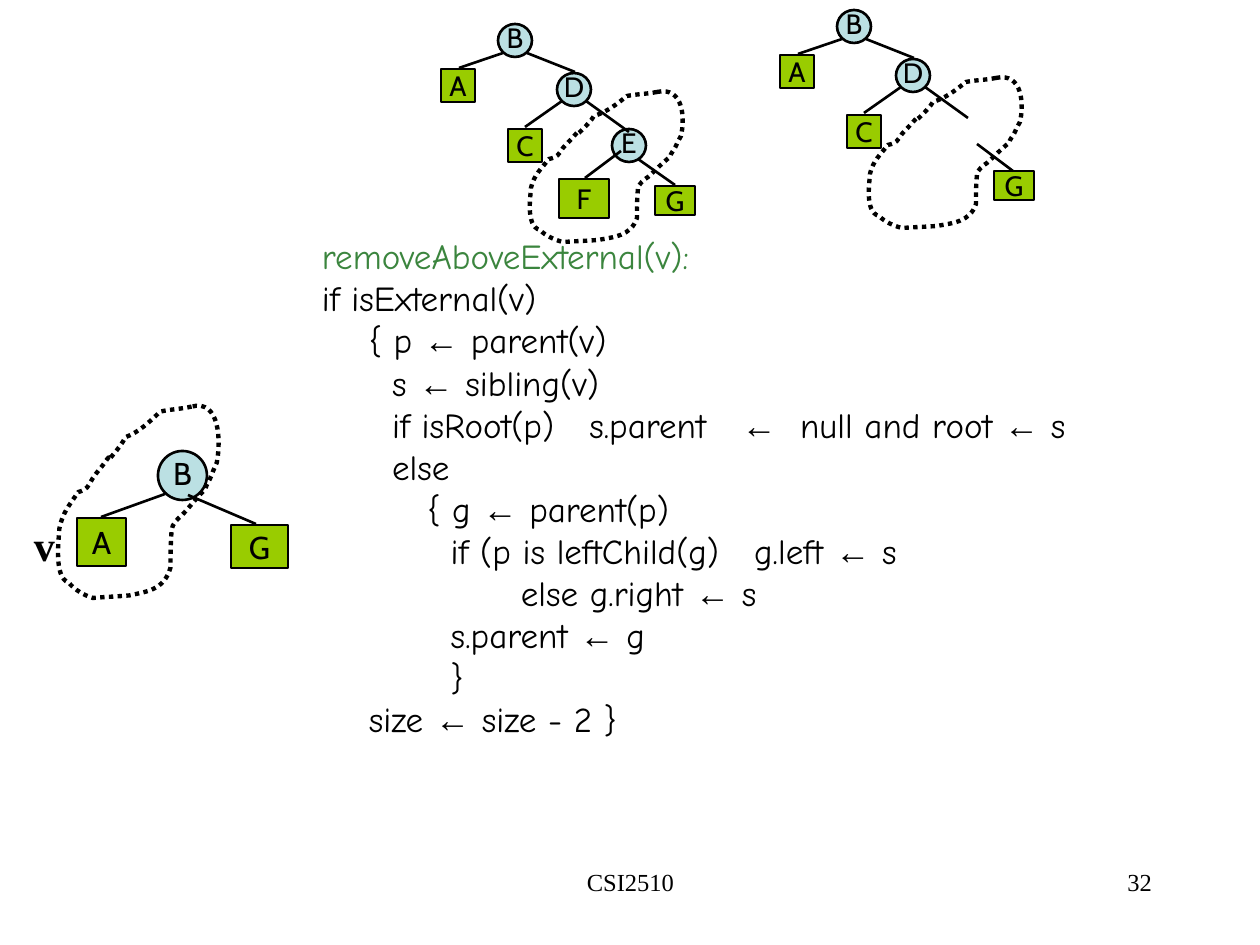
from dataclasses import dataclass

from lxml import etree
from pptx import Presentation
from pptx.dml.color import RGBColor
from pptx.enum.dml import MSO_LINE
from pptx.enum.shapes import MSO_CONNECTOR, MSO_SHAPE
from pptx.enum.text import MSO_ANCHOR, PP_ALIGN
from pptx.oxml.ns import qn
from pptx.util import Pt

LEFT, CENTER, RIGHT = PP_ALIGN.LEFT, PP_ALIGN.CENTER, PP_ALIGN.RIGHT
TOP, MIDDLE = MSO_ANCHOR.TOP, MSO_ANCHOR.MIDDLE
OVAL, BOX = MSO_SHAPE.OVAL, MSO_SHAPE.RECTANGLE
DOTTED, STRAIGHT = MSO_LINE.ROUND_DOT, MSO_CONNECTOR.STRAIGHT
PX = 914400 / 126
ARROW = "←"


@dataclass(frozen=True)
class Theme:
    ink: str = "000000"
    heading: str = "3B853E"
    internal: str = "BBE0E3"
    external: str = "99CC00"
    serif: str = "Times New Roman"
    code_font: str = "Comic Neue"
    arrow_font: str = "Arial"
    node_font: str = "Cabin"
    footer_size: int = 14
    code_size: int = 20
    node_size: int = 16
    large_node_size: int = 18
    label_size: int = 24
    edge_width: float = 1.5
    loop_width: float = 2.5


THEME = Theme()

# Content: the algorithm, its first line being the heading
CODE = [
    "removeAboveExternal(v):",
    "if isExternal(v)",
    "    { p ← parent(v)",
    "      s ← sibling(v)",
    "      if isRoot(p)   s.parent   ←  null and root ← s",
    "      else",
    "         { g ← parent(p)",
    "           if (p is leftChild(g)   g.left ← s",
    "                 else g.right ← s",
    "           s.parent ← g",
    "           }",
    "    size ← size - 2 }",
]

# Content: trees, nodes as (name, kind, left, top, width, height)
UPPER_NODES = [
    ("B", OVAL, 57, 0, 34, 33),
    ("D", OVAL, 116, 49, 34, 33),
    ("A", BOX, 0, 45, 34, 33),
    ("C", BOX, 67, 105, 34, 33),
]
UPPER_EDGES = [
    (188, 108, 145, 77), (84, 103, 121, 77),
    (18, 44, 62, 29), (134, 48, 86, 29),
]
TREES = [
    {   # before the removal
        "origin": (441, 24), "size": THEME.node_size,
        "nodes": UPPER_NODES + [
            ("E", OVAL, 171, 105, 34, 33),
            ("F", BOX, 118, 155, 50, 39),
            ("G", BOX, 214, 162, 40, 29),
        ],
        "edges": UPPER_EDGES + [(234, 161, 197, 135), (144, 154, 180, 127)],
        "loop": (84, 62, 160, 156),
    },
    {   # after the removal
        "origin": (780, 10), "size": THEME.node_size,
        "nodes": UPPER_NODES + [("G", BOX, 214, 161, 40, 29)],
        "edges": UPPER_EDGES + [(233, 161, 197, 134)],
        "loop": (84, 62, 160, 156),
    },
    {   # parent is the root
        "origin": (77, 451), "size": THEME.large_node_size,
        "nodes": [
            ("B", OVAL, 81, 0, 49, 49),
            ("A", BOX, 0, 67, 49, 48),
            ("G", BOX, 154, 74, 57, 43),
        ],
        "edges": [(24, 66, 88, 43), (179, 73, 111, 44)],
        "loop": (-24, -52, 168, 199),
    },
]

# Dotted loop: start, then Bezier points in threes, in a 160 by 156 frame
LOOP_FRAME = (160, 156)
LOOP = [
    (132, 6),
    (122, 8), (112, 8), (102, 10), (92, 18), (82, 26), (69, 30),
    (66, 35), (62, 39), (57, 44), (48, 53), (58, 40), (50, 49),
    (47, 53), (42, 57), (38, 62), (33, 69), (33, 71), (24, 73),
    (16, 83), (9, 89), (6, 102), (6, 108), (0, 140), (15, 144),
    (21, 150), (30, 154), (38, 156), (53, 155), (59, 155), (73, 154),
    (89, 151), (106, 150), (112, 132), (112, 123), (112, 113), (113, 103),
    (113, 98), (120, 93), (123, 91), (131, 84), (137, 77), (145, 71),
    (146, 67), (149, 64), (151, 60), (152, 57), (156, 50), (156, 50),
    (160, 33), (159, 0), (132, 6),
]


def emu(*lengths):
    return [round(length * PX) for length in lengths]


def color(value):
    return RGBColor.from_string(value)


def add_run(paragraph, text, font, size, ink, bold):
    run = paragraph.add_run()
    run.text = text
    run.font.name, run.font.size, run.font.bold = font, Pt(size), bold
    run.font.color.rgb = color(ink)


def write(shape, text, *, font, size, ink=THEME.ink, first_ink=None, bold=False,
          align=LEFT, anchor=TOP, wrap=True, insets=(13, 6, 13, 6)):
    """Fill a shape with lines of text, setting arrows in their own font."""
    frame = shape.text_frame
    frame.word_wrap, frame.vertical_anchor = wrap, anchor
    (frame.margin_left, frame.margin_top,
     frame.margin_right, frame.margin_bottom) = emu(*insets)
    for index, line in enumerate(text.split("\n")):
        paragraph = frame.add_paragraph() if index else frame.paragraphs[0]
        paragraph.alignment = align
        line_ink = first_ink if first_ink and index == 0 else ink
        for part_index, part in enumerate(line.split(ARROW)):
            if part_index:
                add_run(paragraph, ARROW, THEME.arrow_font, size, line_ink, bold)
            add_run(paragraph, part, font, size, line_ink, bold)


def add_text(slide, text, box, **text_format):
    write(slide.shapes.add_textbox(*emu(*box)), text, **text_format)


def set_line(shape, width):
    shape.line.color.rgb = color(THEME.ink)
    shape.line.width = Pt(width)


def add_node(slide, name, kind, box, size):
    shape = slide.shapes.add_shape(kind, *emu(*box))
    shape.shadow.inherit = False
    shape.fill.solid()
    shape.fill.fore_color.rgb = color(THEME.internal if kind == OVAL else THEME.external)
    set_line(shape, THEME.edge_width)
    write(shape, name, font=THEME.node_font, size=size, align=CENTER, anchor=MIDDLE,
          wrap=False, insets=(0, 0, 0, 6) if kind == OVAL else (13, 6, 13, 6))


def add_edge(slide, ends):
    edge = slide.shapes.add_connector(STRAIGHT, *emu(*ends))
    etree.SubElement(edge._element.spPr, qn("a:effectLst"))
    set_line(edge, THEME.edge_width)


def add_loop(slide, left, top, width, height):
    scale_x, scale_y = width / LOOP_FRAME[0], height / LOOP_FRAME[1]
    points = [emu(left + x * scale_x, top + y * scale_y) for x, y in LOOP]
    builder = slide.shapes.build_freeform(*points[0])
    builder.add_line_segments(points[1:], close=True)
    shape = builder.convert_to_shape()
    # Turn each three straight segments into one Bezier curve
    segments = list(shape._element.iter(qn("a:lnTo")))
    for start in range(0, len(segments), 3):
        curve = etree.Element(qn("a:cubicBezTo"))
        segments[start].addprevious(curve)
        for segment in segments[start:start + 3]:
            curve.append(segment[0])
            segment.getparent().remove(segment)
    shape.shadow.inherit = False
    shape.fill.background()
    set_line(shape, THEME.loop_width)
    shape.line.dash_style = DOTTED


def add_tree(slide, tree):
    x, y = tree["origin"]
    for name, kind, left, top, width, height in tree["nodes"]:
        add_node(slide, name, kind, (x + left, y + top, width, height), tree["size"])
    for x1, y1, x2, y2 in tree["edges"]:
        add_edge(slide, (x + x1, y + y1, x + x2, y + y2))
    left, top, width, height = tree["loop"]
    add_loop(slide, x + left, y + top, width, height)


def main():
    presentation = Presentation()
    presentation.slide_width, presentation.slide_height = emu(1260, 945)
    slide = presentation.slides.add_slide(presentation.slide_layouts[6])
    # Footer
    footer = {"font": THEME.serif, "size": THEME.footer_size}
    add_text(slide, "CSI2510", (431, 861, 399, 63), align=CENTER, **footer)
    add_text(slide, "32", (903, 861, 262, 63), align=RIGHT, **footer)
    # Algorithm
    add_text(slide, "\n".join(CODE), (309, 229, 951, 517), font=THEME.code_font,
             size=THEME.code_size, first_ink=THEME.heading)
    # Trees and the label of the removed node
    for tree in TREES:
        add_tree(slide, tree)
    add_text(slide, "v", (21, 514, 45, 63), font=THEME.serif, size=THEME.label_size,
             bold=True, wrap=False)
    presentation.save("out.pptx")


if __name__ == "__main__":
    main()
